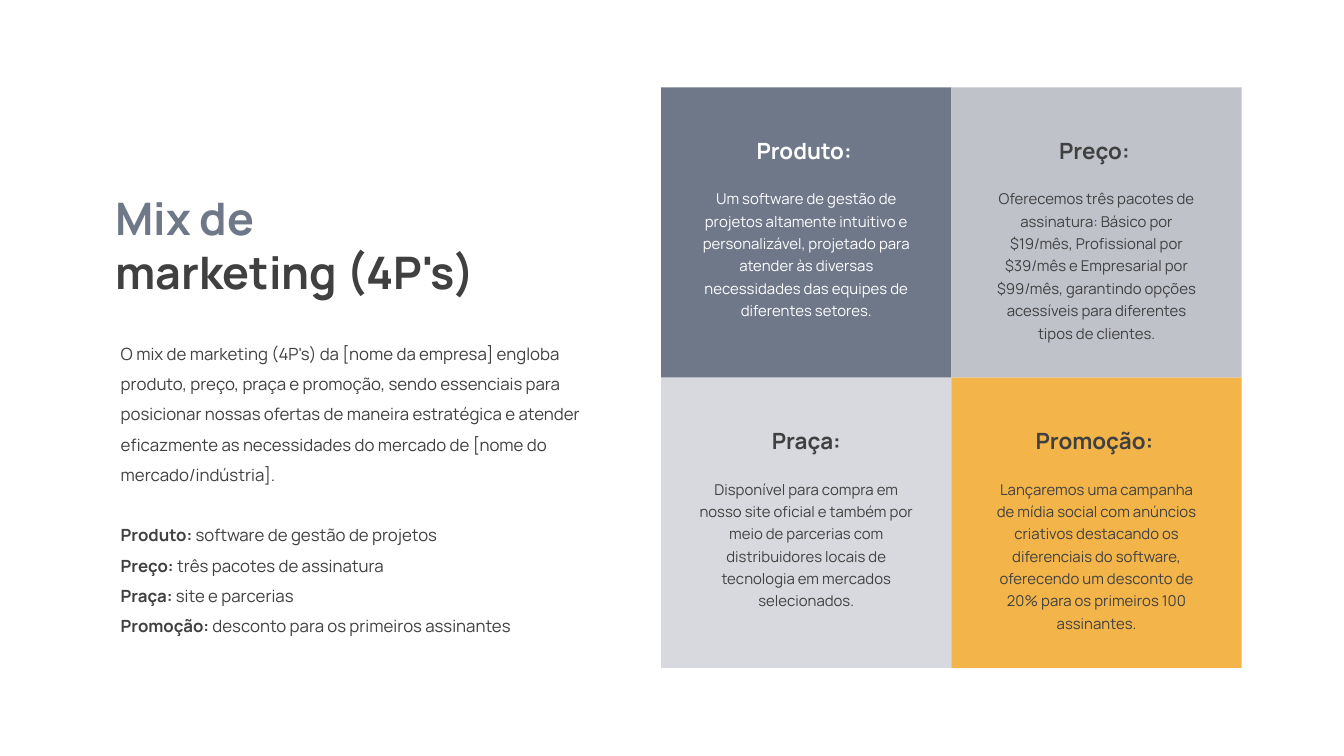
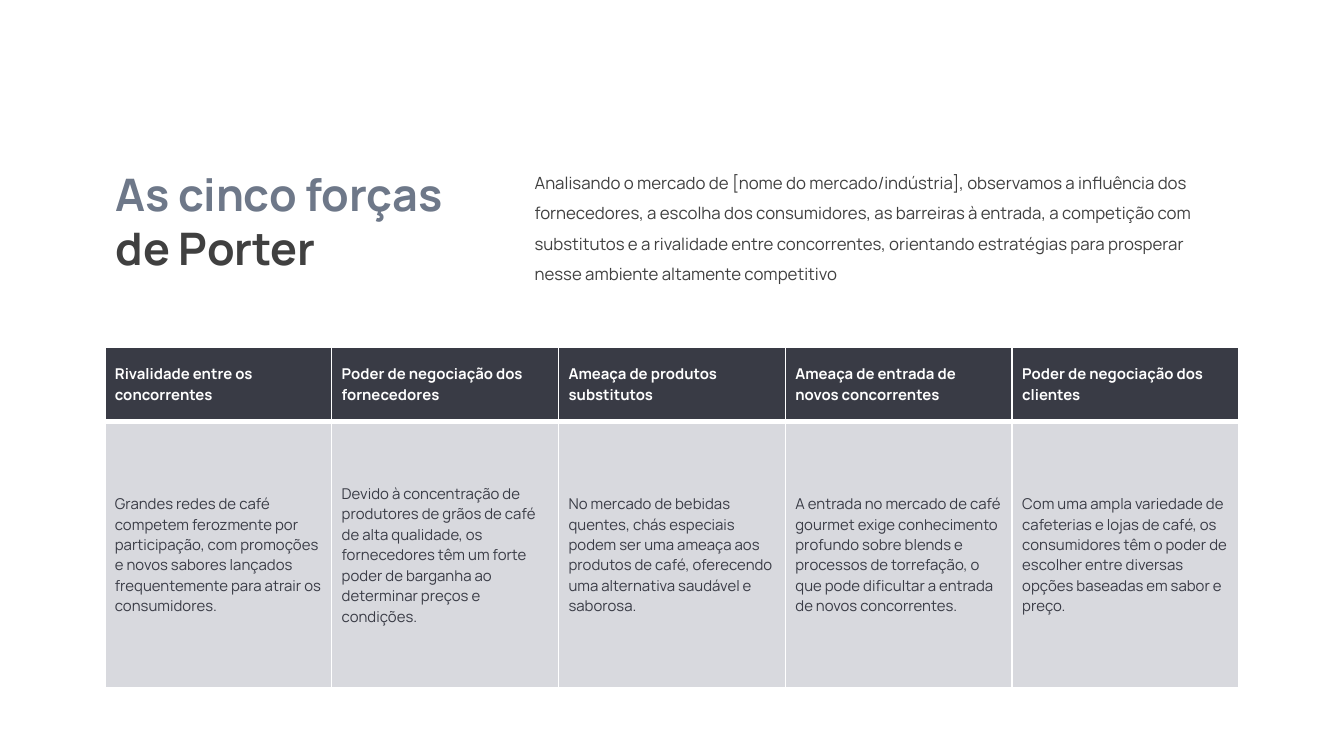
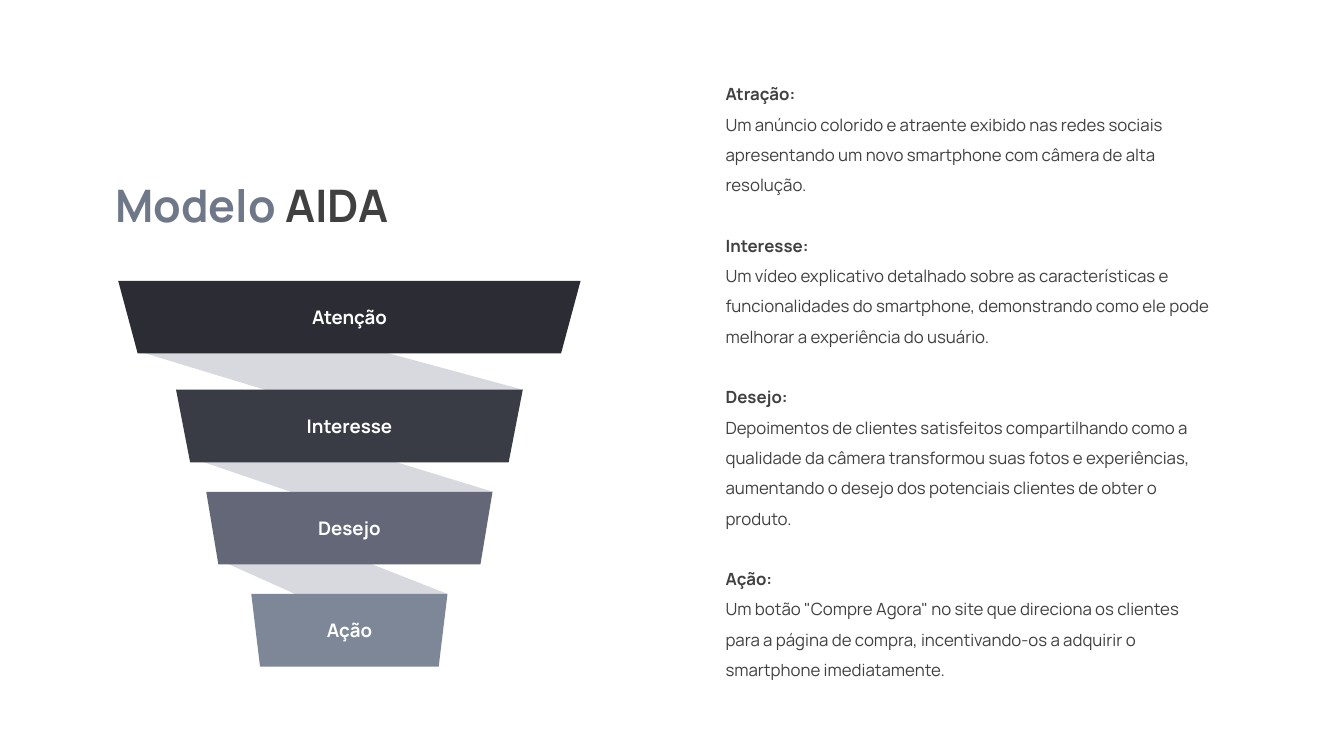
from lxml import etree
from pptx import Presentation
from pptx.dml.color import RGBColor
from pptx.enum.shapes import MSO_SHAPE
from pptx.enum.text import MSO_ANCHOR, MSO_AUTO_SIZE, PP_ALIGN
from pptx.oxml.ns import qn
from pptx.util import Inches, Pt

RECT = MSO_SHAPE.RECTANGLE
TOP, MIDDLE, BOTTOM = MSO_ANCHOR.TOP, MSO_ANCHOR.MIDDLE, MSO_ANCHOR.BOTTOM
CENTER = PP_ALIGN.CENTER
GROW = MSO_AUTO_SIZE.SHAPE_TO_FIT_TEXT

FONT = "Manrope"
WHITE, TEXT, SLATE = "FFFFFF", "404040", "6E7889"
SILVER, PALE, AMBER = "C0C2CA", "D8D9DE", "F3B54A"
NIGHT, INK, DUSK, STEEL = "2B2C34", "393B45", "646777", "7D8797"

BODY = {"size": 9, "color": TEXT, "bold": False}
TITLE = {"size": 24, "color": TEXT, "bold": True}
LOOSE = {"line_spacing": 1.5}
GAP = {"space_before": Pt(16.2)}

MIX_TITLE = [[("Mix de", SLATE)], [("marketing (4P's)", TEXT)]]
MIX_INTRO = (
    "O mix de marketing (4P's) da [nome da empresa] engloba produto, preço, praça e promoção, "
    "sendo essenciais para posicionar nossas ofertas de maneira estratégica e atender eficazmente "
    "as necessidades do mercado de [nome do mercado/indústria]."
)
MIX_SUMMARY = [
    ("Produto: ", "software de gestão de projetos"),
    ("Preço: ", "três pacotes de assinatura"),
    ("Praça: ", "site e parcerias"),
    ("Promoção: ", "desconto para os primeiros assinantes"),
]
MIX_CARDS = [
    ("Produto: ", SLATE, WHITE,
     "Um software de gestão de projetos altamente intuitivo e personalizável, projetado para "
     "atender às diversas necessidades das equipes de diferentes setores."),
    ("Preço: ", SILVER, TEXT,
     "Oferecemos três pacotes de assinatura: Básico por $19/mês, Profissional por $39/mês e "
     "Empresarial por $99/mês, garantindo opções acessíveis para diferentes tipos de clientes."),
    ("Praça:", PALE, TEXT,
     "Disponível para compra em nosso site oficial e também por meio de parcerias com "
     "distribuidores locais de tecnologia em mercados selecionados."),
    ("Promoção: ", AMBER, TEXT,
     "Lançaremos uma campanha de mídia social com anúncios criativos destacando os diferenciais "
     "do software, oferecendo um desconto de 20% para os primeiros 100 assinantes."),
]
CARD_COLUMNS = [
    {"width": 1.79, "heading": 0.3, "text": 1.1},
    {"width": 1.78, "heading": 0.26, "text": 1.27},
]

FORCES_TITLE = [[("As cinco forças", SLATE)], [("de Porter", TEXT)]]
FORCES_INTRO = (
    "Analisando o mercado de [nome do mercado/indústria], observamos a influência dos "
    "fornecedores, a escolha dos consumidores, as barreiras à entrada, a competição com "
    "substitutos e a rivalidade entre concorrentes, orientando estratégias para prosperar "
    "nesse ambiente altamente competitivo"
)
FORCES = [
    ("Rivalidade entre os concorrentes",
     "Grandes redes de café competem ferozmente por participação, com promoções e novos sabores "
     "lançados frequentemente para atrair os consumidores."),
    ("Poder de negociação dos fornecedores",
     "Devido à concentração de produtores de grãos de café de alta qualidade, os fornecedores "
     "têm um forte poder de barganha ao determinar preços e condições."),
    ("Ameaça de produtos substitutos",
     "No mercado de bebidas quentes, chás especiais podem ser uma ameaça aos produtos de café, "
     "oferecendo uma alternativa saudável e saborosa."),
    ("Ameaça de entrada de novos concorrentes",
     "A entrada no mercado de café gourmet exige conhecimento profundo sobre blends e processos "
     "de torrefação, o que pode dificultar a entrada de novos concorrentes."),
    ("Poder de negociação dos clientes",
     "Com uma ampla variedade de cafeterias e lojas de café, os consumidores têm o poder de "
     "escolher entre diversas opções baseadas em sabor e preço."),
]
FORCES_ROWS = [
    {"height": 0.56, "fill": INK, "color": WHITE, "bold": True, "bottom": 3},
    {"height": 1.98, "fill": PALE, "color": INK, "bold": False, "bottom": 1},
]

AIDA_TITLE = [[("Modelo ", SLATE), ("AIDA", TEXT)]]
AIDA_STEPS = [
    ("Atração:",
     "Um anúncio colorido e atraente exibido nas redes sociais apresentando um novo smartphone "
     "com câmera de alta resolução."),
    ("Interesse:",
     "Um vídeo explicativo detalhado sobre as características e funcionalidades do smartphone, "
     "demonstrando como ele pode melhorar a experiência do usuário."),
    ("Desejo:",
     "Depoimentos de clientes satisfeitos compartilhando como a qualidade da câmera transformou "
     "suas fotos e experiências, aumentando o desejo dos potenciais clientes de obter o produto."),
    ("Ação:",
     'Um botão "Compre Agora" no site que direciona os clientes para a página de compra, '
     "incentivando-os a adquirir o smartphone imediatamente."),
]
FUNNEL_CENTER, BAND_HEIGHT = 2.6, 0.54
FUNNEL = [
    ("Atenção", NIGHT, 2.09, 3.44, 3.15, [(1.05, 2.62), (2.4, 3.03), (3.89, 2.9), (2.49, 2.52)]),
    ("Interesse", INK, 2.9, 2.58, 2.37, [(1.43, 3.41), (2.49, 3.77), (3.67, 3.66), (2.56, 3.32)]),
    ("Desejo", DUSK, 3.66, 2.13, 1.95, [(1.64, 4.17), (2.44, 4.53), (3.33, 4.42), (2.49, 4.09)]),
    ("Ação", STEEL, 4.42, 1.46, 1.33, []),
]


def rgb(color):
    return RGBColor.from_string(color)


def write(tf, paras, style, layout=None):
    for i, (runs, extra) in enumerate(paras):
        p = tf.paragraphs[0] if i == 0 else tf.add_paragraph()
        for name, value in {**(layout or {}), **extra}.items():
            setattr(p, name, value)
        for text, changes in runs:
            fmt = {**style, **changes}
            r = p.add_run()
            r.text = text
            for name, value in {"name": FONT, "size": Pt(fmt["size"]), "bold": fmt["bold"]}.items():
                setattr(r.font, name, value)
            r.font.color.rgb = rgb(fmt["color"])


def plain(text):
    return [([(text, {})], {})]


def add_text(s, box, paras, style, layout=None, anchor=TOP):
    tf = s.shapes.add_textbox(*map(Inches, box)).text_frame
    for name, value in {"word_wrap": True, "auto_size": GROW, "vertical_anchor": anchor}.items():
        setattr(tf, name, value)
    write(tf, paras, style, layout)


def add_title(s, top, width, lines):
    paras = [([(text, {"color": color}) for text, color in line], {}) for line in lines]
    add_text(s, (0.76, top, width, 0.1 + 0.4 * len(lines)), paras, TITLE)


def paint(sp, fill):
    sp.shadow.inherit = False
    sp.fill.solid()
    sp.fill.fore_color.rgb = rgb(fill)
    sp.line.fill.background()


def add_polygon(s, points, fill):
    first, *rest = [(Inches(x), Inches(y)) for x, y in points]
    builder = s.shapes.build_freeform(*first)
    builder.add_line_segments(rest, close=True)
    sp = builder.convert_to_shape()
    paint(sp, fill)
    return sp


def add_borders(cell, widths):
    tc_pr = cell._tc.get_or_add_tcPr()
    for i, (side, width) in enumerate(widths.items()):
        line = etree.Element(qn(f"a:ln{side}"), w=str(Pt(width)))
        fill = etree.SubElement(line, qn("a:solidFill"))
        etree.SubElement(fill, qn("a:srgbClr"), val=WHITE)
        tc_pr.insert(i, line)


def build_mix(s):
    add_title(s, 1.37, 4.41, MIX_TITLE)
    paras = plain(MIX_INTRO)
    for i, (label, text) in enumerate(MIX_SUMMARY):
        paras.append(([(label, {"bold": True}), (text, {})], {} if i else GAP))
    add_text(s, (0.8, 2.43, 3.65, 2.35), paras, BODY, LOOSE)

    side = 2.16
    for i, (heading, fill, color, text) in enumerate(MIX_CARDS):
        row, col = divmod(i, 2)
        size = CARD_COLUMNS[col]
        x, y = 4.92 + col * side, 0.65 + row * side
        paint(s.shapes.add_shape(RECT, *map(Inches, (x, y, side, side))), fill)
        left = x + (side - size["width"]) / 2
        add_text(s, (left, y + 0.32, size["width"], size["heading"]), plain(heading),
                 {"size": 12, "color": color, "bold": True}, {"alignment": CENTER})
        add_text(s, (left, y + 0.68, size["width"], size["text"]), plain(text),
                 {"size": 8, "color": color, "bold": False},
                 {"alignment": CENTER, "line_spacing": Pt(12)})


def build_forces(s):
    add_title(s, 1.19, 3.22, FORCES_TITLE)
    box = map(Inches, (0.78, 2.58, 8.44, 2.54))
    table = s.shapes.add_table(len(FORCES_ROWS), len(FORCES), *box).table
    table.horz_banding = False
    for i, row in enumerate(FORCES_ROWS):
        table.rows[i].height = Inches(row["height"])
        for j, force in enumerate(FORCES):
            cell = table.cell(i, j)
            cell.vertical_anchor = MIDDLE
            cell.margin_left = cell.margin_right = Pt(5.4)
            cell.margin_top = cell.margin_bottom = Inches(0.05)
            cell.fill.solid()
            cell.fill.fore_color.rgb = rgb(row["fill"])
            add_borders(cell, {"L": 1, "R": 1, "T": 1, "B": row["bottom"]})
            write(cell.text_frame, plain(force[i]), {"size": 8, **row})
    add_text(s, (3.88, 1.17, 5.27, 0.99), plain(FORCES_INTRO), BODY, LOOSE, BOTTOM)


def build_aida(s):
    add_title(s, 1.27, 2.91, AIDA_TITLE)
    paras = []
    for i, (heading, text) in enumerate(AIDA_STEPS):
        paras.append(([(heading, {"bold": True})], GAP if i else {}))
        paras += plain(text)
    add_text(s, (5.3, 0.5, 3.81, 4.62), paras, BODY, LOOSE)

    for label, fill, top, upper, lower, ribbon in FUNNEL:
        if ribbon:
            add_polygon(s, ribbon, PALE)
        bottom = top + BAND_HEIGHT
        corners = [(-upper, top), (upper, top), (lower, bottom), (-lower, bottom)]
        band = add_polygon(s, [(FUNNEL_CENTER + w / 2, y) for w, y in corners], fill)
        band.text_frame.vertical_anchor = MIDDLE
        write(band.text_frame, plain(label), {"size": 10, "color": WHITE, "bold": True},
              {"alignment": CENTER})


def main():
    prs = Presentation()
    prs.slide_width = Inches(10)
    prs.slide_height = prs.slide_width * 9 // 16
    for build in (build_mix, build_forces, build_aida):
        build(prs.slides.add_slide(prs.slide_layouts[6]))
    prs.save("out.pptx")


if __name__ == "__main__":
    main()
